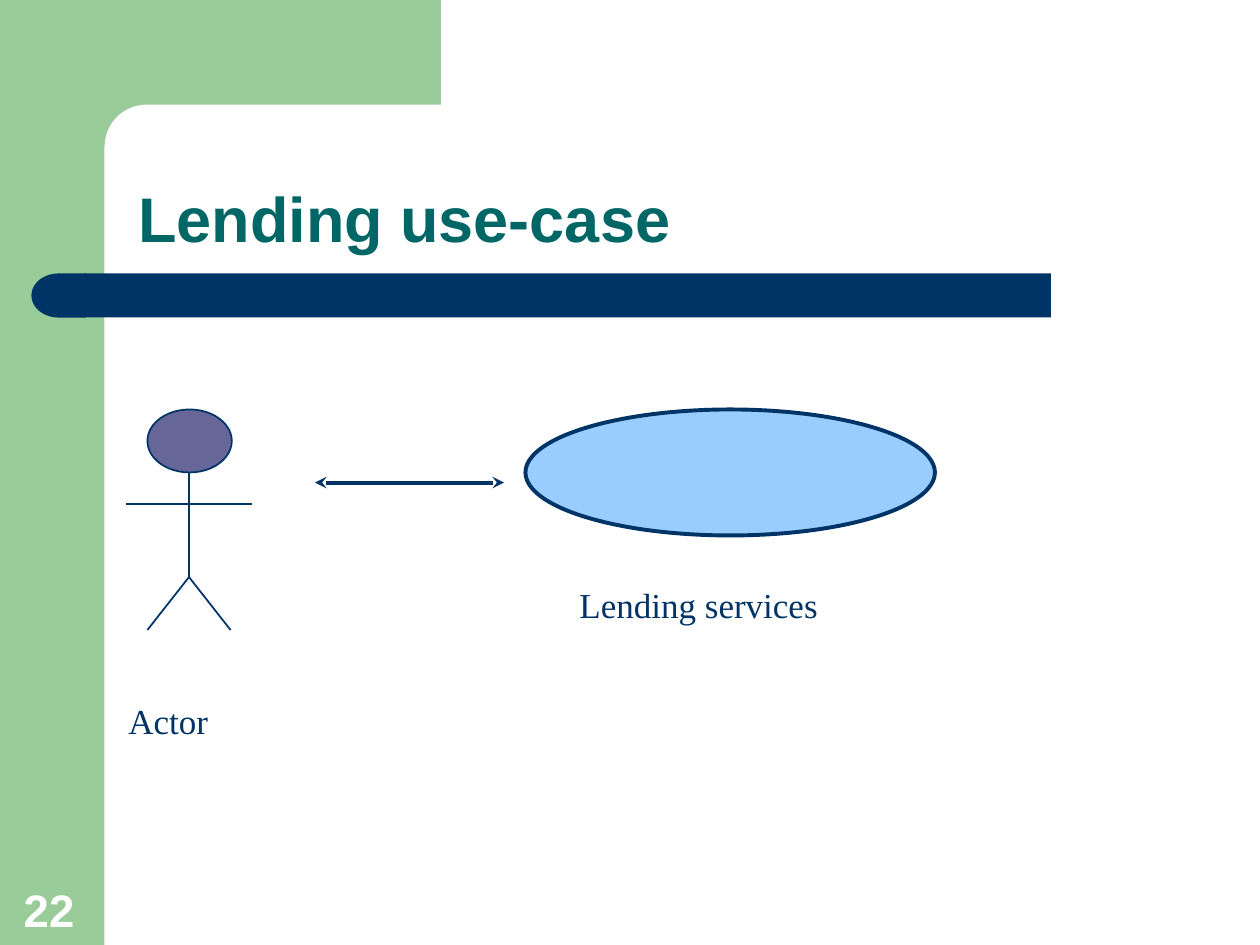
from lxml import etree
from pptx import Presentation
from pptx.dml.color import RGBColor
from pptx.enum import shapes, text
from pptx.oxml.ns import qn
from pptx.util import Inches, Pt

GREEN, NAVY, TEAL, WHITE = "99CC99", "003366", "006666", "FFFFFF"
PURPLE, SKY = "666699", "99CCFF"
KIND = shapes.MSO_SHAPE


def color(value):
    return RGBColor.from_string(value)


def add_shape(page, kind, left, top, width, height, fill, line_width=None):
    shape = page.shapes.add_shape(
        kind, Inches(left), Inches(top), Inches(width), Inches(height))
    shape.shadow.inherit = False
    shape.fill.solid()
    shape.fill.fore_color.rgb = color(fill)
    if line_width is None:
        shape.line.fill.background()
    else:
        shape.line.color.rgb = color(NAVY)
        shape.line.width = Pt(line_width)
    return shape


def add_line(page, start, end, width=1, arrows=False):
    line = page.shapes.add_connector(
        shapes.MSO_CONNECTOR.STRAIGHT, *map(Inches, start + end))
    line.line.color.rgb = color(NAVY)
    line.line.width = Pt(width)
    if arrows:
        outline = line.line._get_or_add_ln()
        for tag in ("a:headEnd", "a:tailEnd"):
            etree.SubElement(outline, qn(tag), type="stealth")
    etree.SubElement(line._element.spPr, qn("a:effectLst"))


def add_text(page, words, left, top, width, height, size, fill=NAVY,
             font="Times New Roman", bold=False, anchor=text.MSO_ANCHOR.TOP):
    box = page.shapes.add_textbox(
        Inches(left), Inches(top), Inches(width), Inches(height))
    frame = box.text_frame
    frame.word_wrap = True
    frame.vertical_anchor = anchor
    frame.text = words
    span = frame.paragraphs[0].runs[0]
    span.font.name = font
    span.font.size = Pt(size)
    span.font.bold = bold
    span.font.color.rgb = color(fill)
    return box


def add_background(page):
    # Green corner with a rounded white cut-out
    add_shape(page, KIND.RECTANGLE, 0, 0, 0.83, 7.5, GREEN)
    add_shape(page, KIND.RECTANGLE, 0.75, 0, 2.75, 1.17, GREEN)
    panel = add_shape(page, KIND.ROUNDED_RECTANGLE, 0.83, 0.83, 5.58, 0.67, WHITE)
    panel.adjustments[0] = 0.5

    # Title bar with a rounded left end
    add_shape(page, KIND.RECTANGLE, 0.67, 2.17, 7.67, 0.35, NAVY)
    cap = add_shape(page, KIND.FLOWCHART_DELAY, 0.25, 2.17, 0.43, 0.35, NAVY)
    cap._element.spPr.get_or_add_xfrm().set("flipH", "1")


def add_actor(page):
    neck, hip = (1.5, 3.75), (1.5, 4.58)
    add_shape(page, KIND.OVAL, 1.17, 3.25, 0.67, 0.5, PURPLE, 1)
    add_line(page, neck, hip)
    for foot in (1.17, 1.83):
        add_line(page, hip, (foot, 5))
    add_line(page, (1, 4), (2, 4))
    add_text(page, "Actor", 0.92, 5.5, 1.08, 0.44, 20)


def add_use_case(page):
    add_shape(page, KIND.OVAL, 4.17, 3.25, 3.25, 1, SKY, 2.25)
    add_text(page, "Lending services", 4.5, 4.58, 2.25, 0.44, 20)


def main():
    deck = Presentation()
    deck.slide_width, deck.slide_height = Inches(10), Inches(7.5)
    page = deck.slides.add_slide(deck.slide_layouts[6])

    add_background(page)
    title = add_text(page, "Lending use-case", 1, 0.83, 8.75, 1.25, 36, TEAL,
                     "Arial", True, text.MSO_ANCHOR.BOTTOM)
    title.text_frame.paragraphs[0].line_spacing = 0.9

    # Use-case diagram
    add_actor(page)
    add_use_case(page)
    add_line(page, (2.5, 3.83), (4, 3.83), 2.25, arrows=True)

    # Page number
    add_text(page, "22", 0.09, 6.94, 0.64, 0.54, 26, WHITE,
             "Arial", True, text.MSO_ANCHOR.BOTTOM)

    deck.save("out.pptx")


if __name__ == "__main__":
    main()
